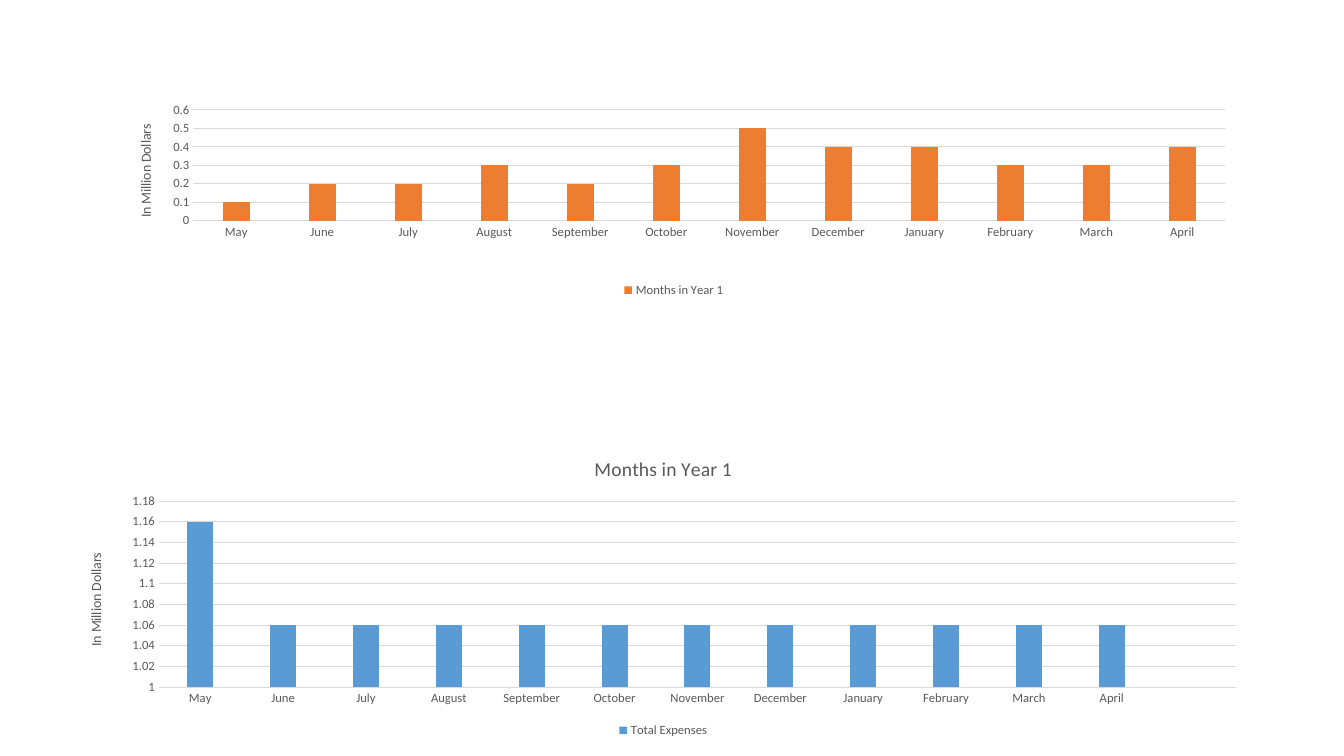
"""Build a slide with two monthly column charts for the first year."""
from dataclasses import dataclass
from typing import Optional

from lxml import etree
from pptx import Presentation
from pptx.chart.data import CategoryChartData
from pptx.dml.color import RGBColor
from pptx.enum import chart as kinds
from pptx.oxml import ns
from pptx.util import Pt


@dataclass(frozen=True)
class Theme:
    font: str = "Calibri"
    text: RGBColor = RGBColor(0x59, 0x59, 0x59)
    rule: RGBColor = RGBColor(0xD9, 0xD9, 0xD9)
    revenue: RGBColor = RGBColor(0xED, 0x7D, 0x31)
    expense: RGBColor = RGBColor(0x5B, 0x9B, 0xD5)
    label_size: float = 9
    axis_title_size: float = 10
    title_size: float = 14
    rule_width: float = 0.75


@dataclass(frozen=True)
class ColumnChart:
    kind: kinds.XL_CHART_TYPE
    box: tuple[float, float, float, float]
    name: str
    months: list[str]
    values: list[Optional[float]]
    color: RGBColor
    overlap: int
    scale: tuple[float, float, float]
    title: str = ""
    plot_layout: Optional[dict] = None
    legend_layout: Optional[dict] = None
    axis_title_layout: Optional[dict] = None


THEME = Theme()
MONTHS = ["May", "June", "July", "August", "September", "October", "November",
          "December", "January", "February", "March", "April"]
CHARTS = [
    ColumnChart(
        kinds.XL_CHART_TYPE.COLUMN_CLUSTERED, (53.3, 61.9, 847.4, 208.1),
        "Months in Year 1", MONTHS,
        [0.1, 0.2, 0.2, 0.3, 0.2, 0.3, 0.5, 0.4, 0.4, 0.3, 0.3, 0.4],
        THEME.revenue, -27, (0, 0.6, 0.1),
        plot_layout={"x": 0.1, "y": 0.08, "w": 0.87, "h": 0.38},
        legend_layout={"x": 0.46, "y": 0.66},
        axis_title_layout={"x": 0.05, "y": 0.12}),
    ColumnChart(
        kinds.XL_CHART_TYPE.COLUMN_STACKED, (47.5, 314.6, 852.5, 215.3),
        "Total Expenses", MONTHS + [""], [1.16] + [1.06] * 11 + [None],
        THEME.expense, 100, (1, 1.18, 0.02), title="Months in Year 1"),
]


def style_font(font, size: float) -> None:
    """Apply the theme's typeface and text colour."""
    font.name, font.size, font.bold = THEME.font, Pt(size), False
    font.color.rgb = THEME.text


def write_text(frame, text: str, *, size: float) -> None:
    """Write one formatted run into a text frame."""
    run = frame.paragraphs[0].add_run()
    run.text = text
    style_font(run.font, size)


def style_line(line) -> None:
    """Draw a line as a thin rule."""
    line.color.rgb = THEME.rule
    line.width = Pt(THEME.rule_width)


def set_layout(parent, fractions: Optional[dict], after: str = "") -> None:
    """Give a chart part a manual layout, following the named child if any."""
    if not fractions:
        return
    for stale in parent.findall(ns.qn("c:layout")):
        parent.remove(stale)
    layout = etree.Element(ns.qn("c:layout"))
    manual = etree.SubElement(layout, ns.qn("c:manualLayout"))
    settings = {"xMode": "edge", "yMode": "edge", **fractions}
    if "w" in fractions:
        settings = {"layoutTarget": "inner", **settings}
    for tag, value in settings.items():
        etree.SubElement(manual, ns.qn(f"c:{tag}"), val=str(value))
    if after:
        parent.find(ns.qn(after)).addnext(layout)
    else:
        parent.insert(0, layout)


def style_axes(chart, data: ColumnChart) -> None:
    """Format both axes and title the value axis."""
    months, amounts = chart.category_axis, chart.value_axis
    for axis in (months, amounts):
        axis.major_tick_mark = axis.minor_tick_mark = kinds.XL_TICK_MARK.NONE
        style_font(axis.tick_labels.font, THEME.label_size)
    style_line(months.format.line)
    amounts.format.line.fill.background()
    amounts.has_major_gridlines = True
    style_line(amounts.major_gridlines.format.line)
    amounts.minimum_scale, amounts.maximum_scale, amounts.major_unit = data.scale
    amounts.tick_labels.number_format = "General"
    amounts.tick_labels.number_format_is_linked = False
    write_text(amounts.axis_title.text_frame, "In Million Dollars",
               size=THEME.axis_title_size)
    set_layout(amounts.axis_title.element, data.axis_title_layout, "c:tx")


def draw_chart(slide, data: ColumnChart) -> None:
    """Add one column chart to the slide."""
    table = CategoryChartData()
    table.categories = data.months
    table.add_series(data.name, data.values)
    frame = slide.shapes.add_chart(data.kind, *map(Pt, data.box), table)
    chart = frame.chart
    style_font(chart.font, THEME.axis_title_size)
    chart.has_title = bool(data.title)
    if data.title:
        write_text(chart.chart_title.text_frame, data.title,
                   size=THEME.title_size)
        chart.chart_title.include_in_layout = False
    chart.has_legend = True
    chart.legend.position = kinds.XL_LEGEND_POSITION.BOTTOM
    chart.legend.include_in_layout = False
    style_font(chart.legend.font, THEME.label_size)
    plot = chart.plots[0]
    plot.gap_width, plot.overlap, plot.vary_by_categories = 219, data.overlap, False
    fill = plot.series[0].format.fill
    fill.solid()
    fill.fore_color.rgb = data.color
    style_axes(chart, data)
    plot_area = chart.element.find(f".//{ns.qn('c:plotArea')}")
    legend = chart.element.find(f".//{ns.qn('c:legend')}")
    set_layout(plot_area, data.plot_layout)
    set_layout(legend, data.legend_layout, "c:legendPos")


def main() -> None:
    """Create and save the presentation."""
    presentation = Presentation()
    presentation.slide_width, presentation.slide_height = Pt(960), Pt(540)
    slide = presentation.slides.add_slide(presentation.slide_layouts[6])
    for data in CHARTS:
        draw_chart(slide, data)
    presentation.save("out.pptx")


main()
